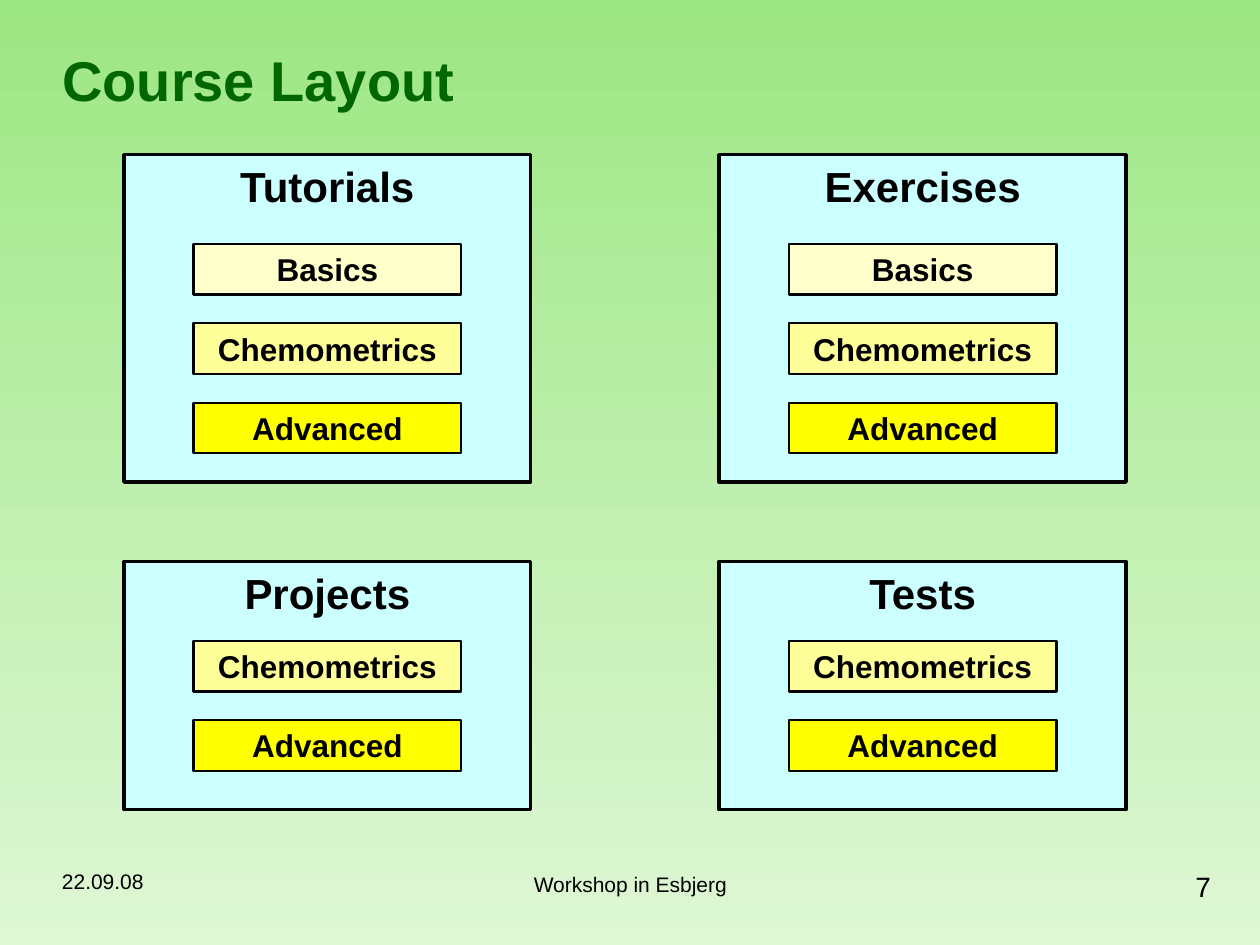
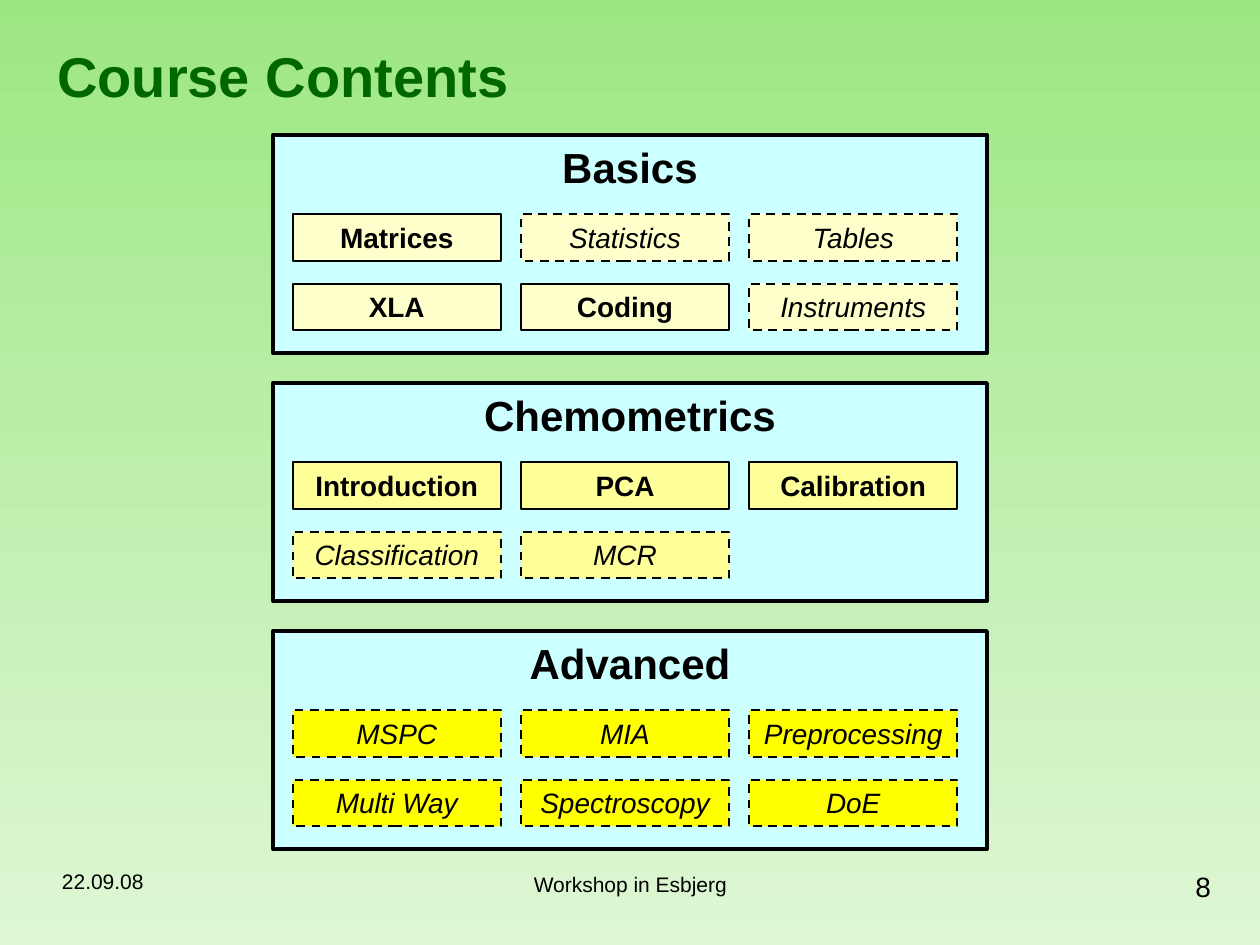
"""Build the course layout and course contents slides on a 2 mm grid."""
import pptx
import pptx.dml.color
import pptx.enum.dml
import pptx.enum.shapes
import pptx.enum.text
import pptx.util
from dataclasses import dataclass, field

ALIGN = pptx.enum.text.PP_ALIGN
ANCHOR = pptx.enum.text.MSO_ANCHOR
DASH = pptx.enum.dml.MSO_LINE.DASH
RECT = pptx.enum.shapes.MSO_SHAPE.RECTANGLE
LEVELS = ("Basics", "Chemometrics", "Advanced")
CORE = {"Matrices", "XLA", "Coding", "Introduction", "PCA", "Calibration"}
TOPICS = {
    "Basics": ("Matrices", "Statistics", "Tables", "XLA", "Coding", "Instruments"),
    "Chemometrics": ("Introduction", "PCA", "Calibration", "Classification", "MCR"),
    "Advanced": ("MSPC", "MIA", "Preprocessing", "Multi Way", "Spectroscopy", "DoE"),
}


@dataclass(frozen=True)
class Theme:
    """Colours, type sizes and line widths of the deck."""
    font: str = "Arial"
    ink: str = "000000"
    title: str = "006600"
    panel: str = "CCFFFF"
    sky: tuple = ("9DE783", "DEF7D5")
    tones: dict = field(default_factory=lambda: dict(
        zip(LEVELS, ("FFFFCC", "FFFF99", "FFFF00"))))
    big: int = 32
    head: int = 24
    level: int = 18
    topic: int = 16
    small: int = 12
    thick: float = 2
    thin: float = 1.25


THEME = Theme()


def unit(count):
    """Turn grid units into a length."""
    return pptx.util.Mm(2 * count)


def rgb(code):
    """Turn a hex code into a colour."""
    return pptx.dml.color.RGBColor.from_string(code)


def apply(target, values):
    """Set each attribute of a target from a dict."""
    for name, value in values.items():
        setattr(target, name, value)


def write(shape, text, size, align=ALIGN.CENTER, anchor=ANCHOR.TOP,
          color=THEME.ink, spacing=None, **style):
    """Put one formatted line of text in a shape."""
    frame = shape.text_frame
    frame.text = text
    apply(frame, {"word_wrap": True, "vertical_anchor": anchor,
                  "auto_size": pptx.enum.text.MSO_AUTO_SIZE.NONE})
    line = frame.paragraphs[0]
    apply(line, {"alignment": align, "line_spacing": spacing})
    font = line.runs[0].font
    apply(font, {"name": THEME.font, "size": pptx.util.Pt(size), **style})
    font.color.rgb = rgb(color)


def box(group, place, fill, text, size, width, dash=None, **style):
    """Add a bordered box, placed in grid units, with a label."""
    shape = group.shapes.add_shape(RECT, *map(unit, place))
    shape.shadow.inherit = False
    shape.fill.solid()
    shape.fill.fore_color.rgb = rgb(fill)
    shape.line.color.rgb = rgb(THEME.ink)
    apply(shape.line, {"width": pptx.util.Pt(width), "dash_style": dash})
    write(shape, text, size, **style)


def panel(slide, place, text):
    """Add a headed panel and return its group."""
    group = slide.shapes.add_group_shape()
    box(group, place, THEME.panel, text, THEME.head, THEME.thick, bold=True)
    return group


def stack(slide, left, top, height, drop, text, levels):
    """Add a panel with a column of level boxes."""
    group = panel(slide, (left, top, 41, height), text)
    for row, level in enumerate(levels):
        box(group, (left + 7, top + drop + 8 * row, 27, 5.1),
            THEME.tones[level], level, THEME.level, THEME.thin, bold=True)


def grid(slide, left, top, level):
    """Add a panel with topic boxes three to a row."""
    group = panel(slide, (left, top, 72, 22), level)
    for index, topic in enumerate(TOPICS[level]):
        row, col = divmod(index, 3)
        core = topic in CORE
        box(group, (left + 2 + 23 * col, top + 8 + 7 * row, 21, 4.7),
            THEME.tones[level], topic, THEME.topic, THEME.thin,
            dash=None if core else DASH, bold=core, italic=not core)


def note(slide, place, text, size, align, anchor):
    """Add a footer text box."""
    shape = slide.shapes.add_textbox(*map(unit, place))
    write(shape, text, size, align, anchor)


def page(deck, text, number, left, top):
    """Add a slide with its title and footers."""
    slide = deck.slides.add_slide(deck.slide_layouts[5])
    title = slide.shapes.title
    apply(title, dict(zip(("left", "top", "width", "height"),
                          map(unit, (left, top, 104.8, 7.1)))))
    write(title, text, THEME.big, ALIGN.LEFT, ANCHOR.MIDDLE, THEME.title,
          spacing=0.85, bold=True)
    base = 87.5
    note(slide, (5, base, 31.75, 3.2), "22.09.08", THEME.small,
         ALIGN.LEFT, ANCHOR.BOTTOM)
    note(slide, (43.4, base, 40.3, 3.2), "Workshop in Esbjerg", THEME.small,
         ALIGN.CENTER, ANCHOR.MIDDLE)
    note(slide, (108, base, 15.3, 4.2), str(number), THEME.topic,
         ALIGN.RIGHT, ANCHOR.BOTTOM)
    return slide


def paint(deck):
    """Give the master its green gradient."""
    fill = deck.slide_master.background.fill
    fill.gradient()
    fill.gradient_angle = 270
    for stop, code, spot in zip(fill.gradient_stops, THEME.sky, (0, 1)):
        stop.color.rgb = rgb(code)
        stop.position = spot


def main():
    """Build and save the deck."""
    deck = pptx.Presentation()
    apply(deck, {"slide_width": pptx.util.Inches(10),
                 "slide_height": pptx.util.Inches(7.5)})
    paint(deck)

    plan = page(deck, "Course Layout", 7, 5, 5)
    rows = ((15.6, 33, 9, LEVELS, ("Tutorials", "Exercises")),
            (56.6, 25, 8, LEVELS[1:], ("Projects", "Tests")))
    for top, height, drop, levels, names in rows:
        for col, name in enumerate(names):
            stack(plan, 12.5 + 60 * col, top, height, drop, name, levels)

    topics = page(deck, "Course Contents", 8, 4.5, 4.6)
    for row, level in enumerate(LEVELS):
        grid(topics, 27.5, 13.6 + 25 * row, level)

    deck.save("out.pptx")


if __name__ == "__main__":
    main()
